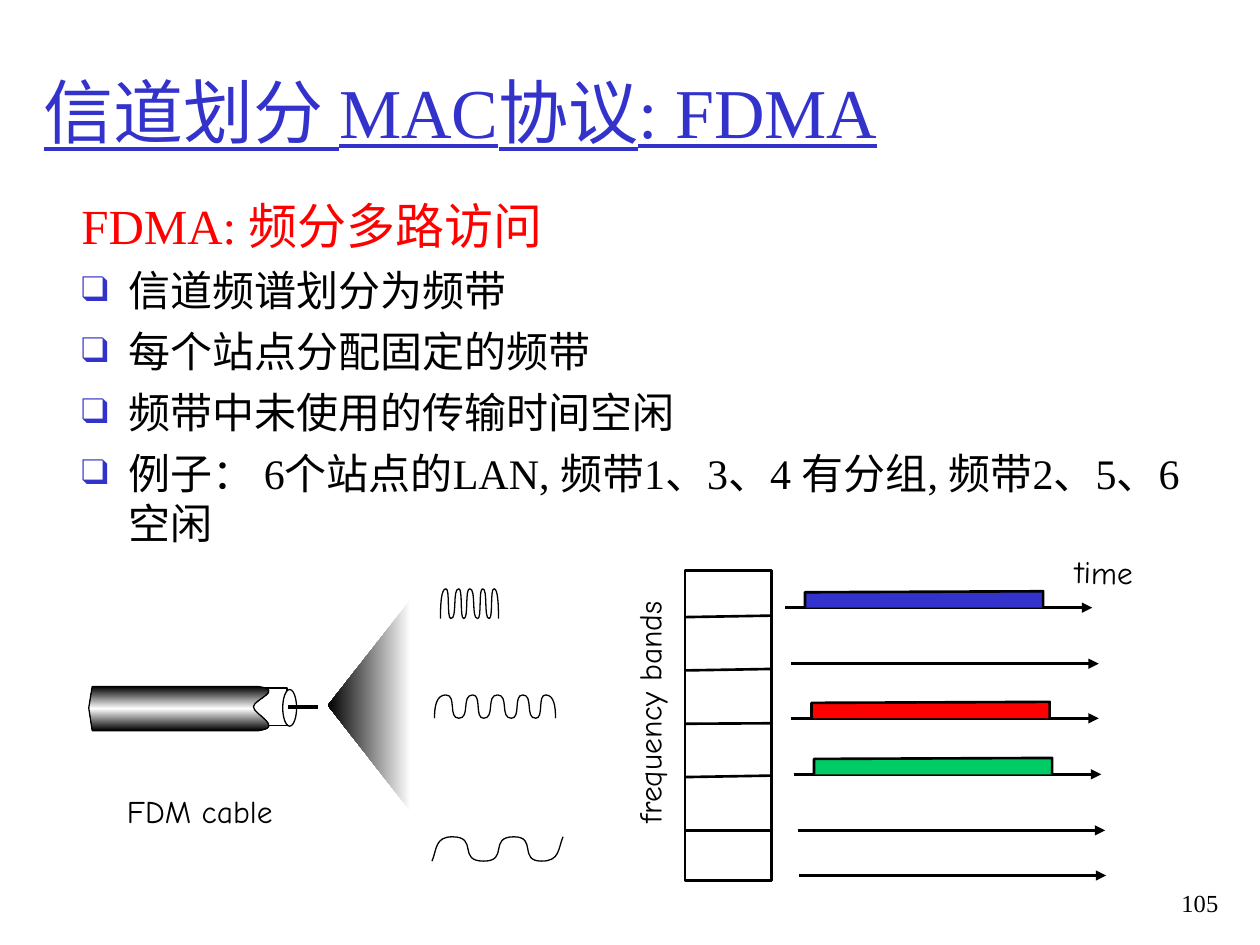
import copy
from dataclasses import dataclass

import pptx
import pptx.dml.color
import pptx.enum.shapes
import pptx.enum.text
import pptx.oxml
import pptx.oxml.ns
import pptx.util
from lxml import etree

Cm, Pt = pptx.util.Cm, pptx.util.Pt
RGB = pptx.dml.color.RGBColor.from_string
qn = pptx.oxml.ns.qn
SHAPE = pptx.enum.shapes.MSO_SHAPE


@dataclass(frozen=True)
class Theme:
    blue: str = "3333CC"
    red: str = "FF0000"
    green: str = "00CC66"
    black: str = "000000"
    white: str = "FFFFFF"
    serif: str = "Times New Roman"
    hand: str = "Comic Neue"
    title: int = 40
    heading: int = 28
    body: int = 24
    label: int = 18
    number: int = 14
    thin: float = 0.75
    medium: float = 1.5
    thick: float = 2.25


T = Theme()


# Text
def add_run(p, text, size, color=T.black, font=T.serif, underline=None):
    r = p.add_run()
    r.text = text
    r.font.size = Pt(size)
    r.font.name = font
    r.font.underline = underline
    r.font.color.rgb = RGB(color)


def add_box(s, left, top, width, height, wrap=True):
    sp = s.shapes.add_textbox(Cm(left), Cm(top), Cm(width), Cm(height))
    sp.text_frame.word_wrap = wrap
    return sp


def add_label(s, text, left, top, width, rotation=0):
    sp = add_box(s, left, top, width, 1.02, wrap=False)
    sp.text_frame.auto_size = pptx.enum.text.MSO_AUTO_SIZE.SHAPE_TO_FIT_TEXT
    sp.rotation = rotation
    add_run(sp.text_frame.paragraphs[0], text, T.label, font=T.hand)


def set_bullet(p):
    pPr = p._p.get_or_add_pPr()
    pPr.set("marL", str(Cm(0.95)))
    pPr.set("indent", str(Cm(-0.95)))
    color = etree.SubElement(pPr, qn("a:buClr"))
    etree.SubElement(color, qn("a:srgbClr"), val=T.blue)
    etree.SubElement(pPr, qn("a:buSzPct"), val="85000")
    etree.SubElement(pPr, qn("a:buFont"), typeface=T.serif)
    etree.SubElement(pPr, qn("a:buChar"), char="❑")


def add_title(s, text):
    sp = s.shapes.title
    sp.left, sp.top, sp.width, sp.height = Cm(0.63), Cm(0.64), Cm(23.98), Cm(3.18)
    tf = sp.text_frame
    tf.vertical_anchor = pptx.enum.text.MSO_ANCHOR.MIDDLE
    p = tf.paragraphs[0]
    p.alignment = pptx.enum.text.PP_ALIGN.LEFT
    add_run(p, text, T.title, T.blue, underline=True)


def add_body(s, heading, bullets):
    tf = add_box(s, 1.39, 3.81, 22.83, 7.49).text_frame
    add_run(tf.paragraphs[0], heading, T.heading, T.red)
    for text in bullets:
        p = tf.add_paragraph()
        p.space_before = Pt(6)
        set_bullet(p)
        add_run(p, text, T.body)


# Shapes and lines
def set_look(sp, fill=None, weight=None):
    sp.shadow.inherit = False
    if fill:
        sp.fill.solid()
        sp.fill.fore_color.rgb = RGB(fill)
    else:
        sp.fill.background()
    if weight:
        sp.line.color.rgb = RGB(T.black)
        sp.line.width = Pt(weight)
    else:
        sp.line.fill.background()
    return sp


def add_preset(s, kind, left, top, width, height, weight):
    sp = s.shapes.add_shape(kind, Cm(left), Cm(top), Cm(width), Cm(height))
    return set_look(sp, T.white, weight)


def add_line(s, x1, y1, x2, y2, weight=T.medium, arrow=False):
    cx = s.shapes.add_connector(
        pptx.enum.shapes.MSO_CONNECTOR.STRAIGHT, Cm(x1), Cm(y1), Cm(x2), Cm(y2))
    cx.line.color.rgb = RGB(T.black)
    cx.line.width = Pt(weight)
    if arrow:
        etree.SubElement(cx.line._get_or_add_ln(), qn("a:tailEnd"), type="triangle")
    etree.SubElement(cx._element.spPr, qn("a:effectLst"))


def add_outline(s, start, segments, fill=None, weight=None, close=False):
    """Each segment holds one point for a line or three for a cubic curve."""
    fb = s.shapes.build_freeform(Cm(start[0]), Cm(start[1]), scale=1.0)
    fb.add_line_segments([(Cm(x), Cm(y)) for seg in segments for x, y in seg], close)
    sp = fb.convert_to_shape()
    steps = iter(list(sp._element.iter(qn("a:lnTo"))))
    for seg in segments:
        group = [next(steps) for _ in seg]
        if len(group) == 3:
            curve = etree.Element(qn("a:cubicBezTo"))
            group[0].addprevious(curve)
            for step in group:
                curve.append(step[0])
                step.getparent().remove(step)
    return set_look(sp, fill, weight)


def set_gradient(sp, colors, angle):
    sp.fill.gradient()
    sp.fill.gradient_angle = angle
    stops = sp._element.spPr.find(qn("a:gradFill")).find(qn("a:gsLst"))
    while len(stops) < len(colors):
        stops.append(copy.deepcopy(stops[-1]))
    for i, (stop, color) in enumerate(zip(sp.fill.gradient_stops, colors)):
        stop.position = i / (len(colors) - 1)
        stop.color.rgb = RGB(color)


def add_wave(s, xs, top, bottom, lean=0):
    """Alternate between bottom and top, flat at every inner turn."""
    knots = [(x, top if i % 2 else bottom) for i, x in enumerate(xs)]
    segments, last, middle = [], len(knots) - 2, (top + bottom) / 2
    for i, (a, d) in enumerate(zip(knots, knots[1:])):
        reach = 0.85 * (d[0] - a[0])
        b = (a[0] + lean, middle) if i == 0 else (a[0] + reach, a[1])
        c = (d[0] - lean, middle) if i == last else (d[0] - reach, d[1])
        segments.append((b, c, d))
    add_outline(s, knots[0], segments, weight=T.thin)


# Parts of the diagram
def add_bands(s):
    left, top, width = 13.81, 11.5, 1.75
    add_preset(s, SHAPE.RECTANGLE, left, top, width, 6.25, T.medium)
    for i, rise in enumerate((0.03, 0.03, 0.01, 0.03, 0)):
        y = 12.44 + 1.075 * i
        add_line(s, left, y, left + width, y - rise)


def add_timelines(s):
    rows = [(15.82, 12.25, T.blue), (15.95, 13.38, None), (15.95, 14.48, T.red),
            (16.0, 15.61, T.green), (16.08, 16.74, None), (16.1, 17.65, None)]
    for x, y, color in rows:
        add_line(s, x, y, x + 6.2, y, arrow=True)
        if color:
            x1, x2 = x + 0.41, x + 5.21
            add_outline(s, (x1, y), [[(x1, y - 0.31)], [(x2, y - 0.33)], [(x2, y)]],
                        color, T.medium)


def add_cable(s):
    beam = add_outline(s, (8.28, 12.09), [[(6.61, 14.22)], [(8.28, 16.36)]], close=True)
    set_gradient(beam, [T.white, T.black], 180)
    add_preset(s, SHAPE.RECTANGLE, 5.05, 13.87, 0.74, 0.76, T.thin)
    sheath = add_outline(s, (1.86, 13.84), [
        [(1.79, 14.27)], [(1.86, 14.73)], [(5.21, 14.73)],
        [(5.74, 14.66), (5.11, 14.4), (5.11, 14.25)],
        [(5.11, 14.1), (5.74, 13.92), (5.21, 13.84)]], weight=T.thin, close=True)
    set_gradient(sheath, [T.black, T.white, T.black], 270)
    add_preset(s, SHAPE.OVAL, 5.7, 13.9, 0.28, 0.74, T.thin)
    add_line(s, 5.81, 14.25, 6.42, 14.25, T.thick)


def main():
    prs = pptx.Presentation()
    prs.slide_width, prs.slide_height = Cm(25.4), Cm(19.05)
    s = prs.slides.add_slide(prs.slide_layouts[5])
    add_title(s, "信道划分 MAC协议: FDMA")
    add_body(s, "FDMA: 频分多路访问", [
        "信道频谱划分为频带", "每个站点分配固定的频带", "频带中未使用的传输时间空闲",
        "例子： 6个站点的LAN, 频带1、3、4 有分组, 频带2、5、6 空闲"])
    # Frequency bands over time
    add_bands(s)
    add_timelines(s)
    add_label(s, "frequency bands", 10.59, 13.84, 5, 270)
    add_label(s, "time", 21.42, 11.02, 1.68, 1.1)
    # Cable and its carrier waves
    add_cable(s)
    add_wave(s, [8.76, 8.99, 9.25, 9.53, 9.75, 10.03, 10.31, 10.54, 10.8, 11, 11.2],
             14.01, 14.48)
    add_wave(s, [8.88, 8.99, 9.09, 9.25, 9.35, 9.47, 9.63, 9.73, 9.86, 9.96, 10.05],
             11.87, 12.47)
    add_wave(s, [8.71, 9.12, 9.75, 10.36, 10.92, 11.35], 16.87, 17.36, lean=0.1)
    add_label(s, "FDM cable", 2.31, 15.85, 3.45)
    # Page number
    p = add_box(s, 23.08, 17.78, 1.73, 1.27).text_frame.paragraphs[0]
    p.alignment = pptx.enum.text.PP_ALIGN.RIGHT
    add_run(p, "105", T.number)
    prs.save("out.pptx")


if __name__ == "__main__":
    main()
